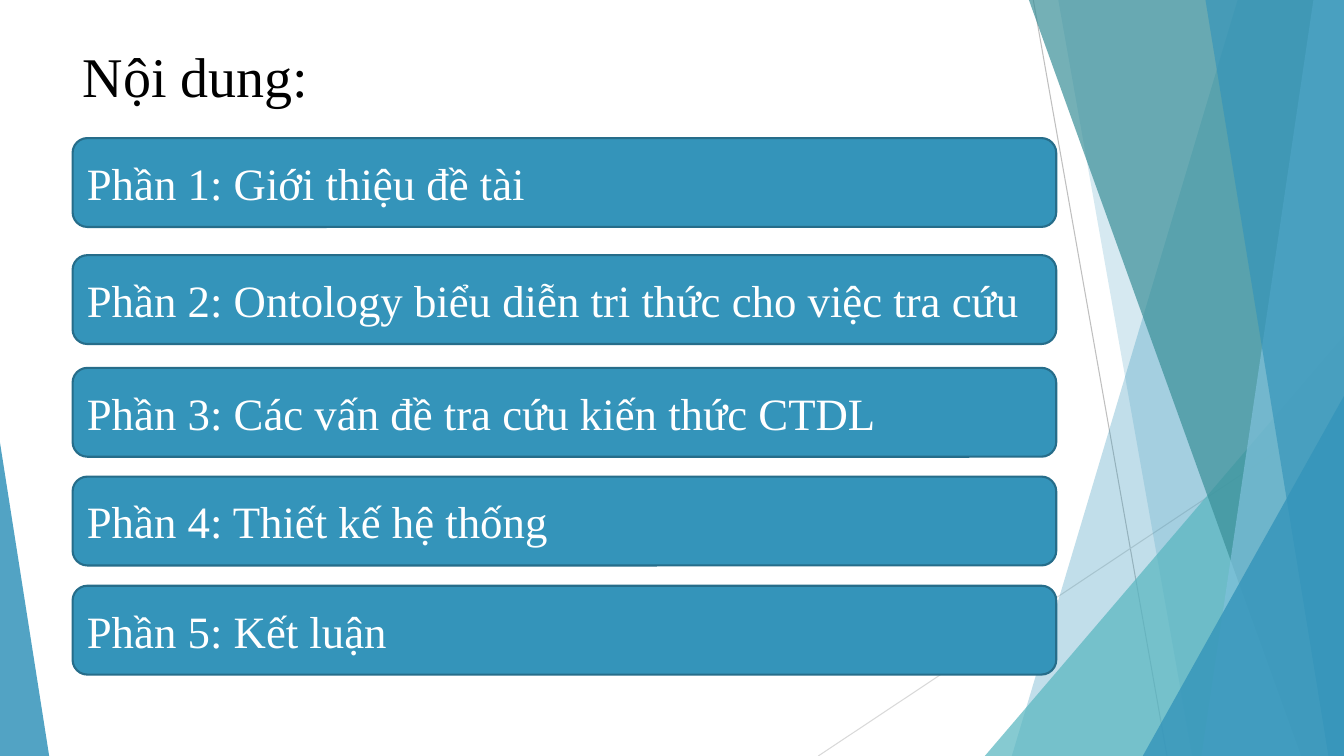
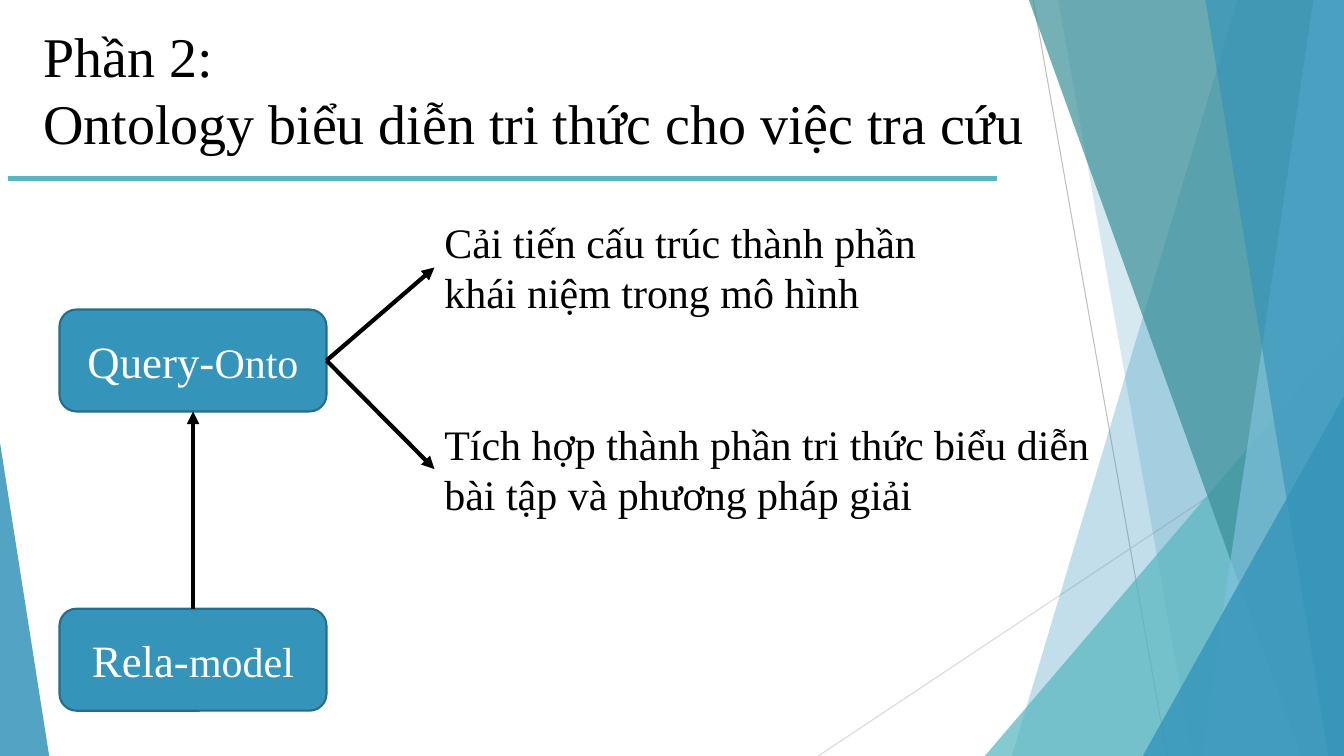
from dataclasses import dataclass

from lxml.etree import SubElement
from pptx import Presentation
from pptx.dml.color import RGBColor
from pptx.enum.shapes import MSO_CONNECTOR as CONN, MSO_SHAPE as SHAPE
from pptx.enum.text import MSO_ANCHOR as ANCHOR, MSO_AUTO_SIZE as AUTO, PP_ALIGN as ALIGN
from pptx.oxml.ns import qn
from pptx.util import Cm, Pt


@dataclass(frozen=True)
class Theme:
    font: str = "Times New Roman"
    title: int = 40
    box: int = 32
    body: int = 30
    black: str = "000000"
    white: str = "FFFFFF"
    blue: str = "3494BA"
    edge: str = "266D8A"
    aqua: str = "58B6C0"
    teal: str = "3A8F98"
    sky: str = "7FC1DB"
    grey: str = "BFBFBF"
    pale: str = "D9D9D9"


T = Theme()
WIDTH, HEIGHT = 33.87, 19.05
TOP, BOTTOM, LEFT, RIGHT = range(4)  # connection sites of a box


# Basic elements
def rgb(color):
    return RGBColor.from_string(color)


def set_font(p, size, color):
    p.font.name = T.font
    p.font.size = Pt(size)
    p.font.color.rgb = rgb(color)


def paint(sp, color, opacity=100):
    sp.shadow.inherit = False
    sp.fill.solid()
    sp.fill.fore_color.rgb = rgb(color)
    sp.line.fill.background()
    if opacity < 100:
        clr = sp.element.spPr.find(".//" + qn("a:srgbClr"))
        SubElement(clr, qn("a:alpha")).set("val", str(opacity * 1000))


def add_line(shapes, start, end, color, width):
    line = shapes.add_connector(CONN.STRAIGHT, *map(Cm, start + end))
    line.line.color.rgb = rgb(color)
    line.line.width = Pt(width)
    SubElement(line.element.spPr, qn("a:effectLst"))
    return line


def add_arrow(s, source, source_site, target, target_site):
    arrow = add_line(s.shapes, (0, 0), (1, 1), T.black, 3)
    arrow.begin_connect(source, source_site)
    arrow.end_connect(target, target_site)
    SubElement(arrow.line._get_or_add_ln(), qn("a:tailEnd")).set("type", "triangle")


def add_box(s, left, top, width, height, runs, align):
    """Rounded box holding one line made of (text, size) runs."""
    sp = s.shapes.add_shape(SHAPE.ROUNDED_RECTANGLE, *map(Cm, (left, top, width, height)))
    paint(sp, T.blue)
    sp.line.color.rgb = rgb(T.edge)
    sp.line.width = Pt(1.5)
    tf = sp.text_frame
    tf.vertical_anchor = ANCHOR.MIDDLE
    p = tf.paragraphs[0]
    p.alignment = align
    set_font(p, T.box, T.white)
    for text, size in runs:
        r = p.add_run()
        r.text = text
        r.font.size = Pt(size)
    return sp


def add_text(s, left, top, width, height, text):
    sp = s.shapes.add_textbox(*map(Cm, (left, top, width, height)))
    tf = sp.text_frame
    tf.word_wrap = True
    tf.text = text
    set_font(tf.paragraphs[0], T.body, T.black)
    return sp


# Shared slide frame
def add_facet(shapes, top_x, bottom_x, color, opacity):
    """Full-height panel with a slanted left side, reaching the right edge."""
    outline = shapes.build_freeform(Cm(top_x), 0)
    outline.add_line_segments(
        [(Cm(x), Cm(y)) for x, y in ((WIDTH, 0), (WIDTH, HEIGHT), (bottom_x, HEIGHT))])
    paint(outline.convert_to_shape(), color, opacity)


def add_corner(shapes, left, top, width, apex, color, opacity):
    """Right-angled triangle standing on the bottom edge."""
    sp = shapes.add_shape(SHAPE.ISOSCELES_TRIANGLE,
                          *map(Cm, (left, top, width, HEIGHT - top)))
    sp.adjustments[0] = apex
    paint(sp, color, opacity)


def add_backdrop(s):
    group = s.shapes.add_group_shape()
    shapes = group.shapes
    add_line(shapes, (26.04, 0), (29.41, HEIGHT), T.grey, 0.75)
    add_line(shapes, (WIDTH, 10.24), (20.62, HEIGHT), T.pale, 0.75)
    add_facet(shapes, 31.19, 25.5, T.blue, 30)
    add_facet(shapes, 26.67, 30.05, T.blue, 20)
    add_corner(shapes, 24.82, 8.46, WIDTH - 24.82, 1, T.aqua, 72)
    add_facet(shapes, 25.93, 32.79, T.teal, 70)
    add_facet(shapes, 33.1, 30.28, T.sky, 70)
    add_facet(shapes, 30.38, 33.48, T.blue, 65)
    add_corner(shapes, 28.8, 9.98, WIDTH - 28.8, 1, T.blue, 80)
    add_corner(shapes, 0, 11.15, 1.24, 0, T.blue, 85)
    s.shapes.element.insert(2, group.element)  # behind the title


def add_slide(prs, title, left, top, width, height):
    s = prs.slides.add_slide(prs.slide_layouts[5])
    add_backdrop(s)
    sp = s.shapes.title
    sp.left, sp.top, sp.width, sp.height = map(Cm, (left, top, width, height))
    tf = sp.text_frame
    tf.text = title
    tf.auto_size = AUTO.NONE
    tf.vertical_anchor = ANCHOR.TOP
    for p in tf.paragraphs:
        p.alignment = ALIGN.LEFT
        set_font(p, T.title, T.black)
    return s


# Slides
def add_contents(prs):
    s = add_slide(prs, "Nội dung:", 1.83, 0.91, 23.88, 3.66)
    parts = (
        (3.48, "Giới thiệu đề tài"),
        (6.43, "Ontology biểu diễn tri thức cho việc tra cứu"),
        (9.27, "Các vấn đề tra cứu kiến thức CTDL"),
        (12.01, "Thiết kế hệ thống"),
        (14.76, "Kết luận"),
    )
    for number, (top, name) in enumerate(parts, 1):
        add_box(s, 1.83, top, 24.79, 2.24,
                [(f"Phần {number}: {name}", T.box)], ALIGN.LEFT)


def add_ontology(prs):
    s = add_slide(prs, "Phần 2:\nOntology biểu diễn tri thức cho việc tra cứu",
                  0.84, 0.41, 32.18, 2.21)
    add_line(s.shapes, (0.2, 4.5), (25.12, 4.5), T.aqua, 3)

    # Models
    query, rela = (
        add_box(s, 1.5, top, 6.73, 2.57, [(start, T.box), (end, T.body)], ALIGN.CENTER)
        for top, start, end in ((7.8, "Query-", "Onto"), (15.34, "Rela-", "model")))
    add_arrow(s, rela, TOP, query, 2)

    # Improvements
    for top, width, text in (
            (5.33, 13.77, "Cải tiến cấu trúc thành phần khái niệm trong mô hình"),
            (10.41, 17.22, "Tích hợp thành phần tri thức biểu diễn bài tập và phương pháp giải")):
        note = add_text(s, 10.95, top, width, 2.82, text)
        add_arrow(s, query, RIGHT, note, 1)


def main():
    prs = Presentation()
    prs.slide_width, prs.slide_height = Cm(WIDTH), Cm(HEIGHT)
    add_contents(prs)
    add_ontology(prs)
    prs.save("out.pptx")


if __name__ == "__main__":
    main()
